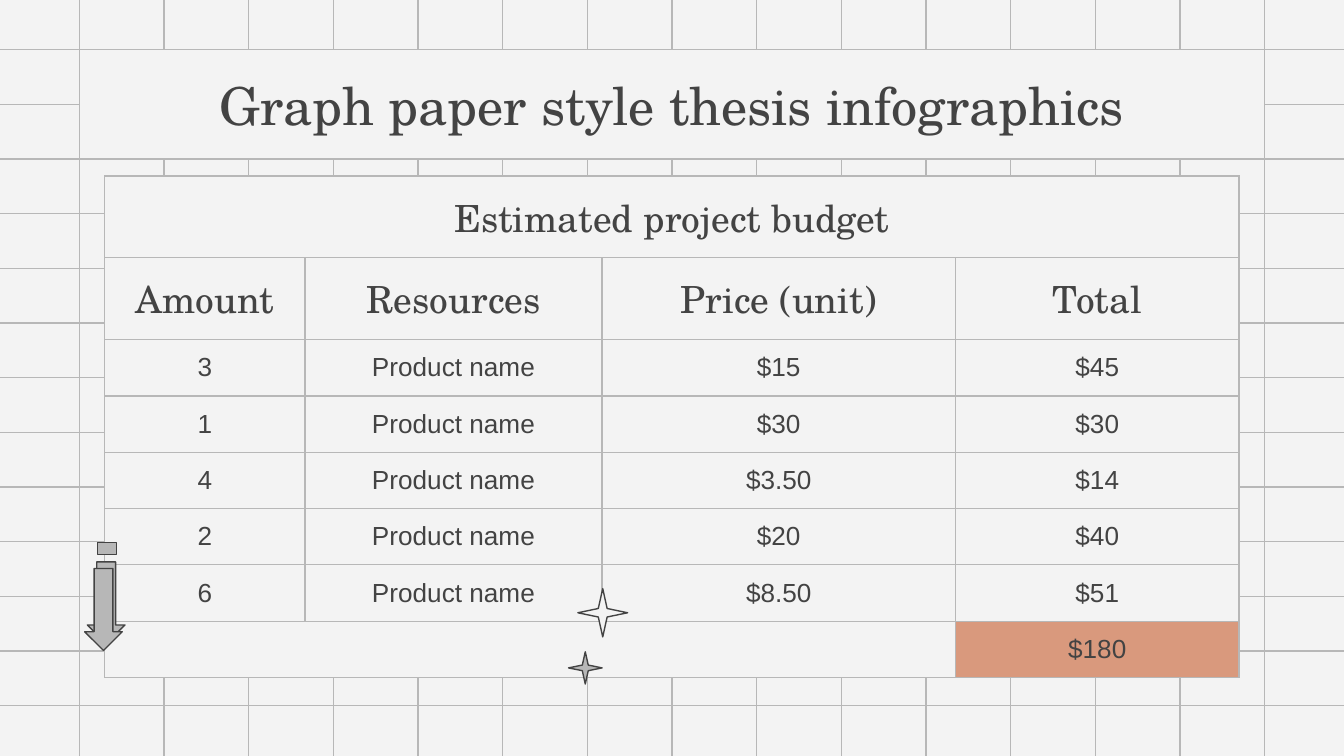
from itertools import pairwise
from lxml.etree import SubElement
from pptx import Presentation
from pptx.dml.color import RGBColor
from pptx.enum.shapes import MSO_CONNECTOR, MSO_SHAPE
from pptx.enum.text import MSO_ANCHOR, PP_ALIGN
from pptx.oxml.ns import qn
from pptx.util import Inches, Pt

TITLE = "Graph paper style thesis infographics"
ROWS = [
    ("Estimated project budget", "", "", ""),
    ("Amount", "Resources", "Price (unit)", "Total"),
    ("3", "Product name", "$15", "$45"),
    ("1", "Product name", "$30", "$30"),
    ("4", "Product name", "$3.50", "$14"),
    ("2", "Product name", "$20", "$40"),
    ("6", "Product name", "$8.50", "$51"),
    ("", "", "", "$180"),
]
WIDTHS = [1.49, 2.21, 2.63, 2.11]
HEADS = 2
PAPER, LINE, INK, ACCENT = "F3F3F3", "B7B7B7", "434343", "D9997D"
SERIF, SANS = "TeX Gyre Schola", "Arial"
STAR, ARROW = MSO_SHAPE.STAR_4_POINT, MSO_SHAPE.UP_ARROW
ICONS = [
    (STAR, (4.23, 4.85, 0.25, 0.24), LINE, 0),
    (STAR, (4.3, 4.38, 0.37, 0.36), PAPER, 0),
    (ARROW, (0.65, 4.18, 0.28, 0.61), LINE, 180),
    (MSO_SHAPE.RECTANGLE, (0.75, 4.01, 0.09, 0.14), LINE, 270),
    (ARROW, (0.63, 4.23, 0.28, 0.61), LINE, 180),
]
GRID_X = [0.59 + 0.63 * i for i in range(15)]
GRID_Y = [0.37 + 4.88 / 12 * i for i in range(13)]
SPAN_X, SPAN_Y = (-0.04, 5, 10.04), (-0.03, 2.81, 5.66)


def color(code):
    """Turn a hex string into a colour."""
    return RGBColor.from_string(code)


def paint(shape, fill, line):
    """Set the fill and the thin outline of a shape."""
    shape.fill.solid()
    shape.fill.fore_color.rgb = color(fill)
    shape.line.color.rgb = color(line)
    shape.line.width = Pt(0.75)


def write(frame, text, size=14, font=SANS, ink=INK):
    """Write one centred line of text into a frame."""
    para = frame.paragraphs[0]
    para.alignment = PP_ALIGN.CENTER
    if not text:
        mark = SubElement(para._p, qn("a:endParaRPr"), sz=str(size * 100))
        SubElement(mark, qn("a:latin"), typeface=font)
        return
    run = para.add_run()
    run.text = text
    run.font.size = Pt(size)
    run.font.name = font
    run.font.bold = False
    run.font.color.rgb = color(ink)


def rule(slide, *ends):
    """Draw one line of the graph paper."""
    line = slide.shapes.add_connector(MSO_CONNECTOR.STRAIGHT, *map(Inches, ends))
    line.line.color.rgb = color(LINE)
    line.line.width = Pt(0.75)
    SubElement(line._element.spPr, qn("a:effectLst"))


def edge(cell):
    """Put a thin border on all sides of a cell, below its fill."""
    props = cell._tc.get_or_add_tcPr()
    for spot, side in enumerate(("lnL", "lnR", "lnT", "lnB")):
        line = SubElement(props, qn(f"a:{side}"), w=str(Pt(0.75)))
        fill = SubElement(line, qn("a:solidFill"))
        SubElement(fill, qn("a:srgbClr"), val=LINE)
        props.insert(spot, line)


def add_grid(slide):
    """Draw the graph paper in quarters."""
    for top, end in pairwise(SPAN_Y):
        for x in GRID_X:
            rule(slide, x, top, x, end)
    for left, end in pairwise(SPAN_X):
        for y in GRID_Y:
            rule(slide, left, y, end, y)


def add_title(slide):
    """Place the title above the grid."""
    title = slide.shapes.title
    slide.shapes._spTree.append(title._element)
    title.left, title.top = Inches(0.59), Inches(0.37)
    title.width, title.height = Inches(8.82), Inches(0.81)
    paint(title, PAPER, LINE)
    title.text_frame.vertical_anchor = MSO_ANCHOR.MIDDLE
    write(title.text_frame, TITLE, size=28, font=SERIF)


def add_budget(slide):
    """Build the budget table."""
    box = map(Inches, (0.78, 1.31, sum(WIDTHS), 3.04))
    table = slide.shapes.add_table(len(ROWS), len(WIDTHS), *box).table
    table.first_row = table.horz_banding = False
    for col, width in zip(table.columns, WIDTHS):
        col.width = Inches(width)
    last = len(ROWS) - 1
    for r, row in enumerate(ROWS):
        head = r < HEADS
        table.rows[r].height = Inches(0.44 if head else 0.36)
        for c, text in enumerate(row):
            cell = table.cell(r, c)
            cell.margin_left = cell.margin_right = Inches(0.1)
            cell.margin_top = cell.margin_bottom = Inches(0.1)
            cell.vertical_anchor = MSO_ANCHOR.MIDDLE
            cell.fill.solid()
            total = r == last and text
            cell.fill.fore_color.rgb = color(ACCENT if total else PAPER)
            edge(cell)
            write(cell.text_frame, text, size=20 if head else 14,
                  font=SERIF if head else SANS)
    table.cell(0, 0).merge(table.cell(0, 3))
    table.cell(last, 0).merge(table.cell(last, 2))


def add_icons(slide):
    """Add the stars and the arrows."""
    for kind, box, fill, turn in ICONS:
        icon = slide.shapes.add_shape(kind, *map(Inches, box))
        icon.shadow.inherit = False
        icon.rotation = turn
        paint(icon, fill, INK)


def main():
    """Build and save the slide."""
    deck = Presentation()
    deck.slide_width = Inches(10)
    deck.slide_height = deck.slide_width * 9 // 16
    slide = deck.slides.add_slide(deck.slide_layouts[5])
    slide.background.fill.solid()
    slide.background.fill.fore_color.rgb = color(PAPER)
    add_grid(slide)
    add_title(slide)
    add_budget(slide)
    add_icons(slide)
    deck.save("out.pptx")


if __name__ == "__main__":
    main()
